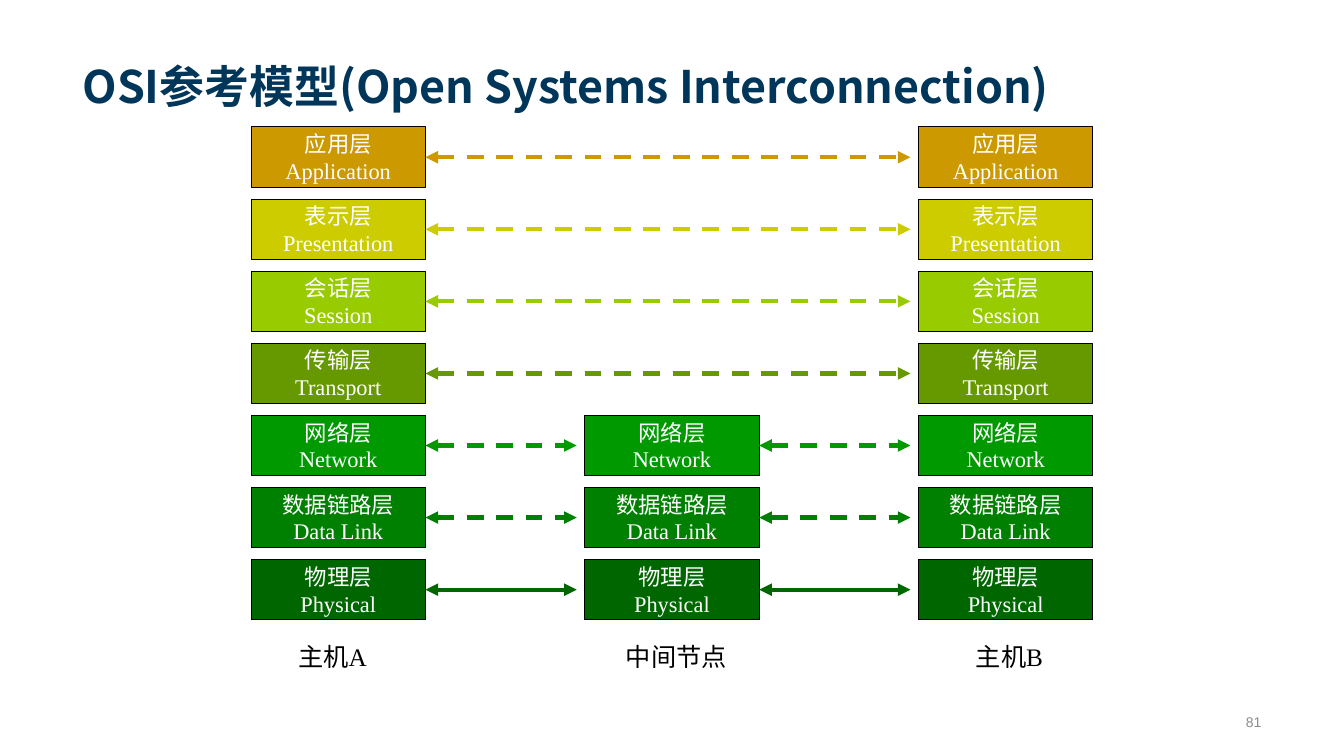
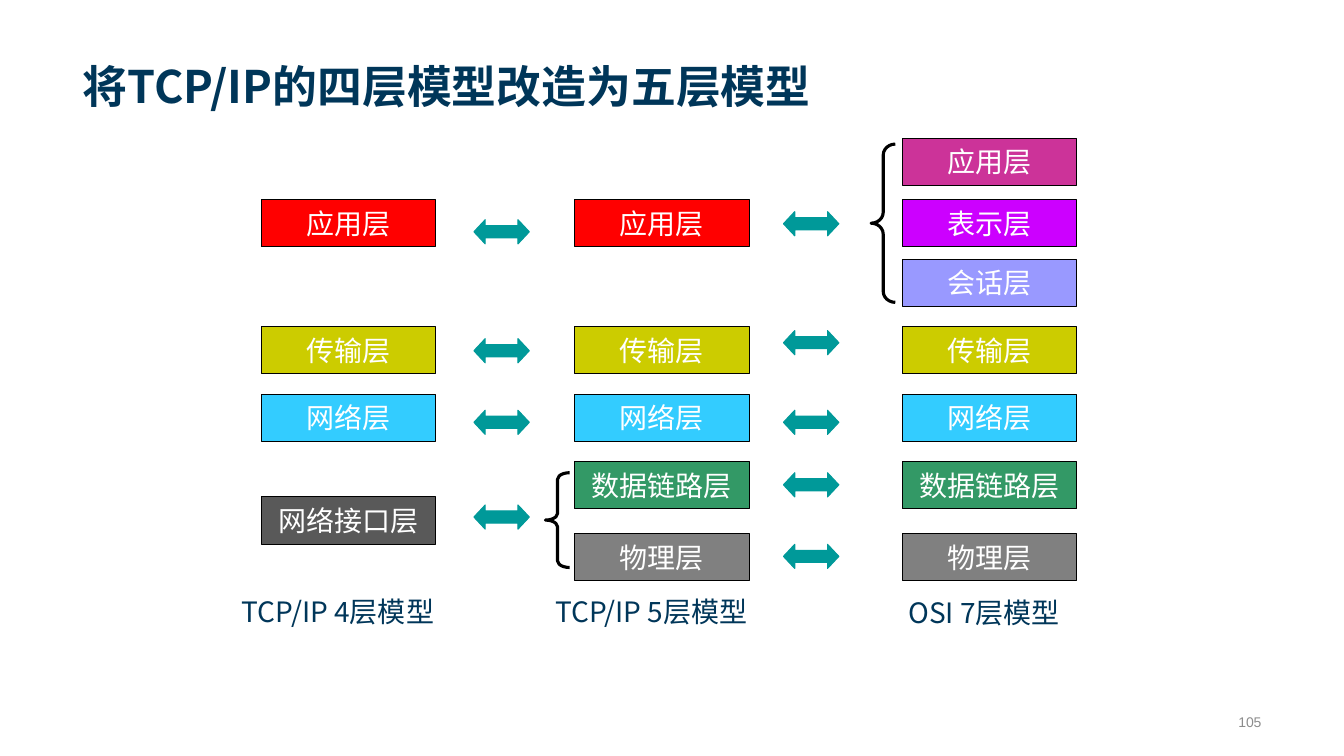
from lxml.etree import SubElement
from pptx import Presentation
from pptx.dml.color import RGBColor
from pptx.enum.dml import MSO_LINE
from pptx.enum.shapes import MSO_CONNECTOR, MSO_SHAPE
from pptx.enum.text import MSO_ANCHOR, PP_ALIGN
from pptx.oxml.ns import qn
from pptx.util import Inches, Pt

NAVY = RGBColor(0x00, 0x36, 0x59)
BLACK = RGBColor(0x00, 0x00, 0x00)
WHITE = RGBColor(0xFF, 0xFF, 0xFF)
FOOTER_GREY = RGBColor(0x8C, 0x8C, 0x8C)
TEAL = RGBColor(0x00, 0x99, 0x99)
OCHRE = RGBColor(0xCC, 0x99, 0x00)
MUSTARD = RGBColor(0xCC, 0xCC, 0x00)
LIME = RGBColor(0x99, 0xCC, 0x00)
OLIVE = RGBColor(0x66, 0x99, 0x00)
GREEN = RGBColor(0x00, 0x99, 0x00)
MID_GREEN = RGBColor(0x00, 0x80, 0x00)
DARK_GREEN = RGBColor(0x00, 0x66, 0x00)
RED = RGBColor(0xFF, 0x00, 0x00)
SKY = RGBColor(0x33, 0xCC, 0xFF)
SEA_GREEN = RGBColor(0x33, 0x99, 0x66)
GREY = RGBColor(0x80, 0x80, 0x80)
CHARCOAL = RGBColor(0x59, 0x59, 0x59)
MAGENTA = RGBColor(0xCC, 0x33, 0x99)
VIOLET = RGBColor(0xCC, 0x00, 0xFF)
LAVENDER = RGBColor(0x99, 0x99, 0xFF)

SANS = "Noto Sans CJK SC"
SERIF = "Times New Roman"
LAYER_WIDTH = 1.73

OSI_LAYERS = [
    ("应用层", "Application", OCHRE),
    ("表示层", "Presentation", MUSTARD),
    ("会话层", "Session", LIME),
    ("传输层", "Transport", OLIVE),
    ("网络层", "Network", GREEN),
    ("数据链路层", "Data Link", MID_GREEN),
    ("物理层", "Physical", DARK_GREEN),
]
OSI_TOP, OSI_PITCH, OSI_HEIGHT = 1.26, 0.715, 0.6
RELAY_START = 4

APPLICATION = ("应用层", RED, 1.98)
SHARED = [("传输层", MUSTARD, 3.24), ("网络层", SKY, 3.91)]
LOWEST = [("数据链路层", SEA_GREEN, 4.58), ("物理层", GREY, 5.29)]
FOUR_LAYERS = [APPLICATION, *SHARED, ("网络接口层", CHARCOAL, 4.93)]
FIVE_LAYERS = [APPLICATION, *SHARED, *LOWEST]
SEVEN_LAYERS = [
    ("应用层", MAGENTA, 1.37),
    ("表示层", VIOLET, 1.98),
    ("会话层", LAVENDER, 2.57),
    *SHARED,
    *LOWEST,
]


def write(frame, lines, size, font, color, align=PP_ALIGN.LEFT, bold=False):
    """Fill a text frame with equally styled paragraphs."""
    frame.text = "\n".join(lines)
    for paragraph in frame.paragraphs:
        paragraph.alignment = align
        paragraph.font.size = Pt(size)
        paragraph.font.name = font
        paragraph.font.bold = bold
        paragraph.font.color.rgb = color
        if font == SANS:
            properties = paragraph._p.pPr.find(qn("a:defRPr"))
            SubElement(properties, qn("a:ea")).set("typeface", font)


def add_label(slide, box, text, size, font, color, anchor=MSO_ANCHOR.TOP, **style):
    """Place a wrapped text box and return its frame."""
    frame = slide.shapes.add_textbox(*map(Inches, box)).text_frame
    frame.word_wrap = True
    frame.vertical_anchor = anchor
    write(frame, [text], size, font, color, **style)
    return frame


def add_figure(slide, preset, box, fill, line, width=0.75, adjustments=()):
    """Place a preset shape; a fill of None leaves it hollow."""
    figure = slide.shapes.add_shape(preset, *map(Inches, box))
    figure.shadow.inherit = False
    if fill is None:
        figure.fill.background()
    else:
        figure.fill.solid()
        figure.fill.fore_color.rgb = fill
    figure.line.color.rgb = line
    figure.line.width = Pt(width)
    for index, value in enumerate(adjustments):
        figure.adjustments[index] = value
    return figure


def add_layer(slide, box, lines, fill, size, font):
    """Draw one protocol layer."""
    layer = add_figure(slide, MSO_SHAPE.RECTANGLE, box, fill, BLACK)
    layer.text_frame.word_wrap = False
    layer.text_frame.vertical_anchor = MSO_ANCHOR.MIDDLE
    write(layer.text_frame, lines, size, font, WHITE, PP_ALIGN.CENTER)
    return layer


def add_peer_link(slide, layer, end_x, color, dashed):
    """Draw a double-headed line from a layer's right side."""
    y = layer.top + layer.height // 2
    link = slide.shapes.add_connector(
        MSO_CONNECTOR.STRAIGHT, layer.left + layer.width, y, Inches(end_x), y)
    link.begin_connect(layer, 3)
    link.line.color.rgb = color
    link.line.width = Pt(3)
    if dashed:
        link.line.dash_style = MSO_LINE.DASH
    outline = link.line._get_or_add_ln()
    for end in ("a:headEnd", "a:tailEnd"):
        SubElement(outline, qn(end)).set("type", "triangle")
    SubElement(link._element.spPr, qn("a:effectLst"))


def add_osi_stack(slide, left, first):
    """Draw the OSI layers from index first down and return them by index."""
    return {
        index: add_layer(
            slide, (left, OSI_TOP + index * OSI_PITCH, LAYER_WIDTH, OSI_HEIGHT),
            (chinese, english), color, 16, SERIF)
        for index, (chinese, english, color) in enumerate(OSI_LAYERS)
        if index >= first
    }


def add_model(slide, left, layers, caption, caption_box):
    """Draw a captioned column of layers."""
    for name, color, top in layers:
        add_layer(slide, (left, top, LAYER_WIDTH, 0.47), [name], color, 20, SANS)
    add_label(slide, caption_box, caption, 20, SANS, NAVY)


def add_matches(slide, left, tops):
    """Draw the arrows that pair layers of neighbouring models."""
    for top in tops:
        add_figure(slide, MSO_SHAPE.LEFT_RIGHT_ARROW, (left, top, 0.55, 0.24),
                   TEAL, TEAL, adjustments=(0.5, 0.468))


def add_base(deck, title, number):
    """Add a blank slide with its title and page number."""
    slide = deck.slides.add_slide(deck.slide_layouts[6])
    heading = add_label(slide, (0.72, 0.14, 11.88, 0.98), title, 32, SANS, NAVY,
                        MSO_ANCHOR.BOTTOM, bold=True)
    heading.margin_bottom = 0
    add_label(slide, (11.73, 7.01, 0.88, 0.3), number, 10, "Arial", FOOTER_GREY,
              MSO_ANCHOR.MIDDLE, align=PP_ALIGN.RIGHT)
    return slide


def build_osi_slide(deck):
    """Show the OSI layers of two hosts and a relay node."""
    slide = add_base(deck, "OSI参考模型(Open Systems Interconnection)", "81")
    host_a = add_osi_stack(slide, 2.49, 0)
    relay = add_osi_stack(slide, 5.8, RELAY_START)
    add_osi_stack(slide, 9.11, 0)
    for index, (_, _, color) in enumerate(OSI_LAYERS):
        dashed = index < len(OSI_LAYERS) - 1
        add_peer_link(slide, host_a[index], 5.72 if index in relay else 9.03, color, dashed)
        if index in relay:
            add_peer_link(slide, relay[index], 9.03, color, dashed)
    for left, width, name in ((2.86, 0.88, "主机A"), (6.11, 1.25, "中间节点"),
                              (9.58, 0.88, "主机B")):
        add_label(slide, (left, 6.31, width, 0.4), name, 18, SERIF, BLACK)


def build_comparison_slide(deck):
    """Compare the four-, five- and seven-layer models."""
    slide = add_base(deck, "将TCP/IP的四层模型改造为五层模型", "105")
    add_model(slide, 2.59, FOUR_LAYERS, "TCP/IP 4层模型", (2.3, 5.85, 2.2, 0.44))
    add_model(slide, 5.7, FIVE_LAYERS, "TCP/IP 5层模型", (5.41, 5.85, 2.2, 0.44))
    add_model(slide, 8.95, SEVEN_LAYERS, "OSI 7层模型", (8.91, 5.86, 1.73, 0.44))
    for box, curl in (((5.41, 4.69, 0.24, 0.94), 0.272), ((8.64, 1.43, 0.24, 1.57), 0.454)):
        add_figure(slide, MSO_SHAPE.LEFT_BRACE, box, None, BLACK, 2.25, (curl, 0.5))
    add_matches(slide, 4.7, (2.18, 3.36, 4.07, 5.01))
    add_matches(slide, 7.77, (2.1, 3.28, 4.07, 4.69, 5.4))


def main():
    """Build and save the deck."""
    deck = Presentation()
    deck.slide_width = Inches(13.33)
    deck.slide_height = Inches(7.5)
    build_osi_slide(deck)
    build_comparison_slide(deck)
    deck.save("out.pptx")


if __name__ == "__main__":
    main()
